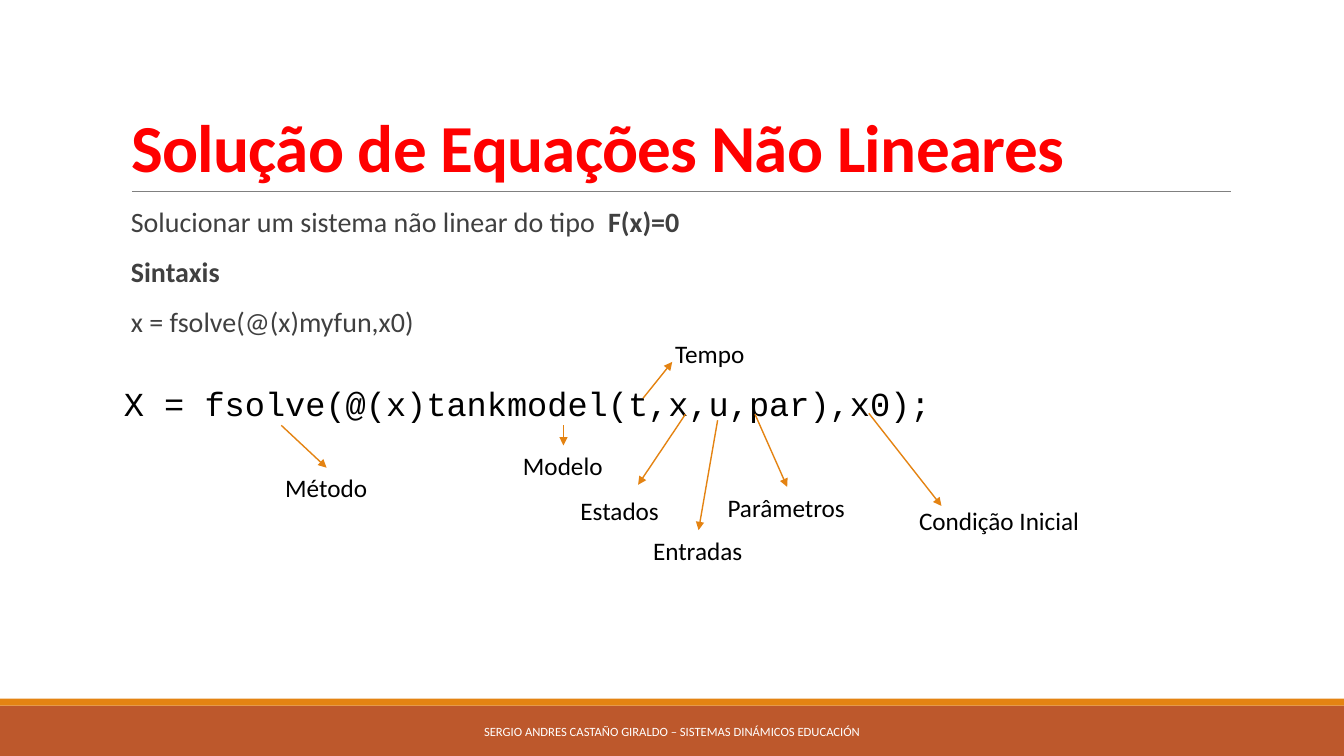
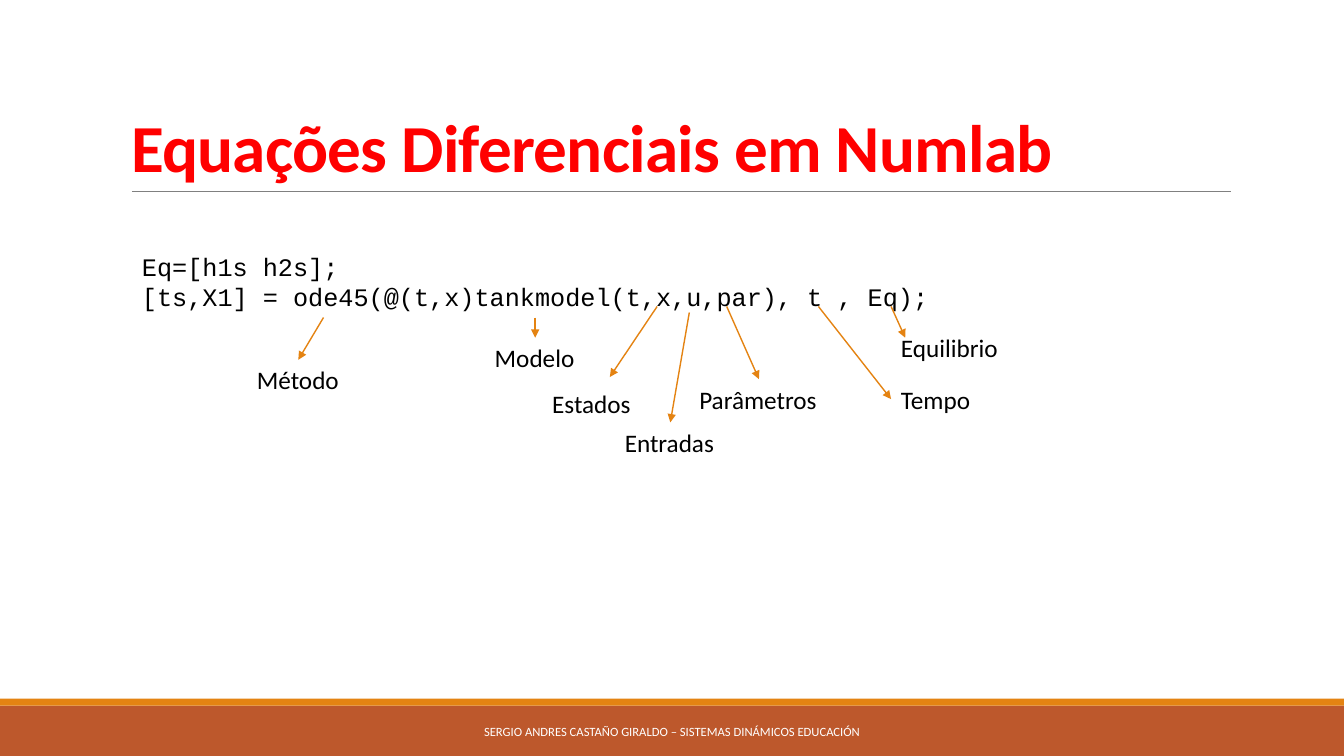
"""Build two slides that explain the arguments of fsolve and ode45 calls."""
from dataclasses import dataclass

from lxml import etree
from pptx import Presentation
from pptx.dml.color import RGBColor
from pptx.enum import shapes, text
from pptx.oxml.ns import qn
from pptx.util import Pt


@dataclass(frozen=True)
class Theme:
    """Colours, fonts and type sizes of the deck."""
    title: str = "FF0000"
    body: str = "404040"
    ink: str = "000000"
    paper: str = "FFFFFF"
    rule: str = "808080"
    accent: str = "E48312"
    band: str = "BD582C"
    sans: str = "Calibri"
    mono: str = "Courier New"
    title_size: int = 48
    code_size: int = 24
    body_size: int = 20
    label_size: int = 18
    footer_size: int = 9


THEME = Theme()
WIDTH, HEIGHT = 960, 540
LABEL_HEIGHT = 28.8
TOP, LEFT_SIDE = 0, 1
FOOTER = "SERGIO ANDRES CASTAÑO GIRALDO – SISTEMAS DINÁMICOS EDUCACIÓN"
BANDS = [(504, 36, THEME.band), (499, 5, THEME.accent)]

LABEL_WIDTHS = {
    "Método": 73.4, "Modelo": 72, "Estados": 71.3, "Entradas": 79.2,
    "Parâmetros": 99.4, "Tempo": 64.8, "Condição Inicial": 130.3,
    "Equilibrio": 84.2,
}

# Each callout: label, its left and top, arrow start, arrow end (point or label side).
MODEL_CALLOUTS = [
    ("Modelo", (366.5, 318.2), (402.5, 303.8), TOP),
    ("Estados", (407.5, 350.6), (489.6, 295.9), (455.8, 346.3)),
    ("Entradas", (459.4, 378.7), (512.6, 300.2), TOP),
    ("Parâmetros", (512.6, 347.8), (539.3, 295.9), TOP),
]

SLIDES = [
    {
        "title": "Solução de Equações Não Lineares",
        "body": [
            [("Solucionar um sistema não linear do tipo  ", False), ("F(x)=0", True)],
            [("Sintaxis", True)],
            [("x = fsolve(@(x)myfun,x0)", False)],
        ],
        "code": ["X = fsolve(@(x)tankmodel(t,x,u,par),x0);"],
        "code_area": (81.4, 270, 595.4, 36),
        "code_size": THEME.code_size,
        "code_wraps": False,
        "model_offset": (0, 0),
        "callouts": [
            ("Método", (196.6, 334.1), (200.9, 303.8), TOP),
            ("Condição Inicial", (649.4, 357.1), (620.6, 295.2), (672.5, 361.4)),
            ("Tempo", (475.2, 238.3), (459.4, 284.4), (480.2, 258.5)),
        ],
    },
    {
        "title": "Equações Diferenciais em Numlab",
        "body": [],
        "code": ["Eq=[h1s h2s];",
                 "[ts,X1] = ode45(@(t,x)tankmodel(t,x,u,par), t , Eq);"],
        "code_area": (94.3, 175.7, 604, 51),
        "code_size": THEME.label_size,
        "code_wraps": True,
        "model_offset": (-20.2, -77),
        "callouts": [
            ("Método", (176.4, 257), (231.1, 226.8), TOP),
            ("Equilibrio", (636.5, 234), (636.5, 218.9), (646.6, 241.2)),
            ("Tempo", (636.5, 270.7), (584.6, 218.9), LEFT_SIDE),
        ],
    },
]


def points(values):
    return [Pt(value) for value in values]


def style(span, size, color, font=THEME.sans, bold=False):
    span.font.name = font
    span.font.size = Pt(size)
    span.font.bold = bold
    span.font.color.rgb = RGBColor.from_string(color)


def add_text(page, area, lines, size, color=THEME.ink, font=THEME.sans, wrap=True):
    box = page.shapes.add_textbox(*points(area))
    frame = box.text_frame
    frame.text = "\n".join(lines)
    frame.word_wrap = wrap
    frame.auto_size = text.MSO_AUTO_SIZE.NONE if wrap else text.MSO_AUTO_SIZE.SHAPE_TO_FIT_TEXT
    for para in frame.paragraphs:
        for span in para.runs:
            style(span, size, color, font)
    return box


def add_line(page, start, end, color, weight):
    line = page.shapes.add_connector(
        shapes.MSO_CONNECTOR.STRAIGHT, *points(start + end))
    line.line.color.rgb = RGBColor.from_string(color)
    line.line.width = Pt(weight)
    etree.SubElement(line.element.spPr, qn("a:effectLst"))
    return line


def add_callout(page, label, corner, start, target):
    area = (*corner, LABEL_WIDTHS[label], LABEL_HEIGHT)
    box = add_text(page, area, [label], THEME.label_size, wrap=False)
    joined = isinstance(target, int)
    arrow = add_line(page, start, corner if joined else target, THEME.accent, 1)
    if joined:
        arrow.end_connect(box, target)
    outline = arrow.line._get_or_add_ln()
    etree.SubElement(outline, qn("a:tailEnd"), type="triangle")


def shift(point, offset):
    return tuple(round(a + b, 2) for a, b in zip(point, offset))


def add_frame(page, title):
    for top, height, color in BANDS:
        band = page.shapes.add_shape(
            shapes.MSO_SHAPE.RECTANGLE, *points((0, top, WIDTH, height)))
        band.shadow.inherit = False
        band.fill.solid()
        band.fill.fore_color.rgb = RGBColor.from_string(color)
        band.line.fill.background()
    add_line(page, (94.3, 136.8), (879.1, 136.8), THEME.rule, 0.5)

    box = page.shapes.title
    box.left, box.top, box.width, box.height = points((86.4, 22.3, 792, 114.5))
    frame = box.text_frame
    frame.text = title
    frame.word_wrap = True
    frame.auto_size = text.MSO_AUTO_SIZE.NONE
    frame.vertical_anchor = text.MSO_ANCHOR.BOTTOM
    para = frame.paragraphs[0]
    para.alignment = text.PP_ALIGN.LEFT
    para.line_spacing = 0.85
    style(para.runs[0], THEME.title_size, THEME.title, bold=True)
    para.runs[0]._r.get_or_add_rPr().set("spc", "-50")

    footer = add_text(page, (290.2, 508.3, 379.4, 28.8), [FOOTER],
                      THEME.footer_size, THEME.paper)
    footer.text_frame.vertical_anchor = text.MSO_ANCHOR.MIDDLE
    footer.text_frame.paragraphs[0].alignment = text.PP_ALIGN.CENTER


def add_body(page, paragraphs):
    box = page.shapes.add_textbox(*points((86.4, 145.4, 792, 316.8)))
    frame = box.text_frame
    frame.word_wrap = True
    frame.margin_left, frame.margin_right = Pt(7.2), 0
    for index, spans in enumerate(paragraphs):
        para = frame.add_paragraph() if index else frame.paragraphs[0]
        para.line_spacing = 0.9
        para.space_before, para.space_after = Pt(12), Pt(2)
        for words, bold in spans:
            span = para.add_run()
            span.text = words
            style(span, THEME.body_size, THEME.body, bold=bold)


def build_slide(deck, content):
    page = deck.slides.add_slide(deck.slide_layouts[5])
    add_frame(page, content["title"])
    if content["body"]:
        add_body(page, content["body"])
    add_text(page, content["code_area"], content["code"], content["code_size"],
             font=THEME.mono, wrap=content["code_wraps"])
    offset = content["model_offset"]
    for label, corner, start, target in MODEL_CALLOUTS:
        end = target if isinstance(target, int) else shift(target, offset)
        add_callout(page, label, shift(corner, offset), shift(start, offset), end)
    for callout in content["callouts"]:
        add_callout(page, *callout)


def main():
    deck = Presentation()
    deck.slide_width, deck.slide_height = Pt(WIDTH), Pt(HEIGHT)
    for content in SLIDES:
        build_slide(deck, content)
    deck.save("out.pptx")


if __name__ == "__main__":
    main()
